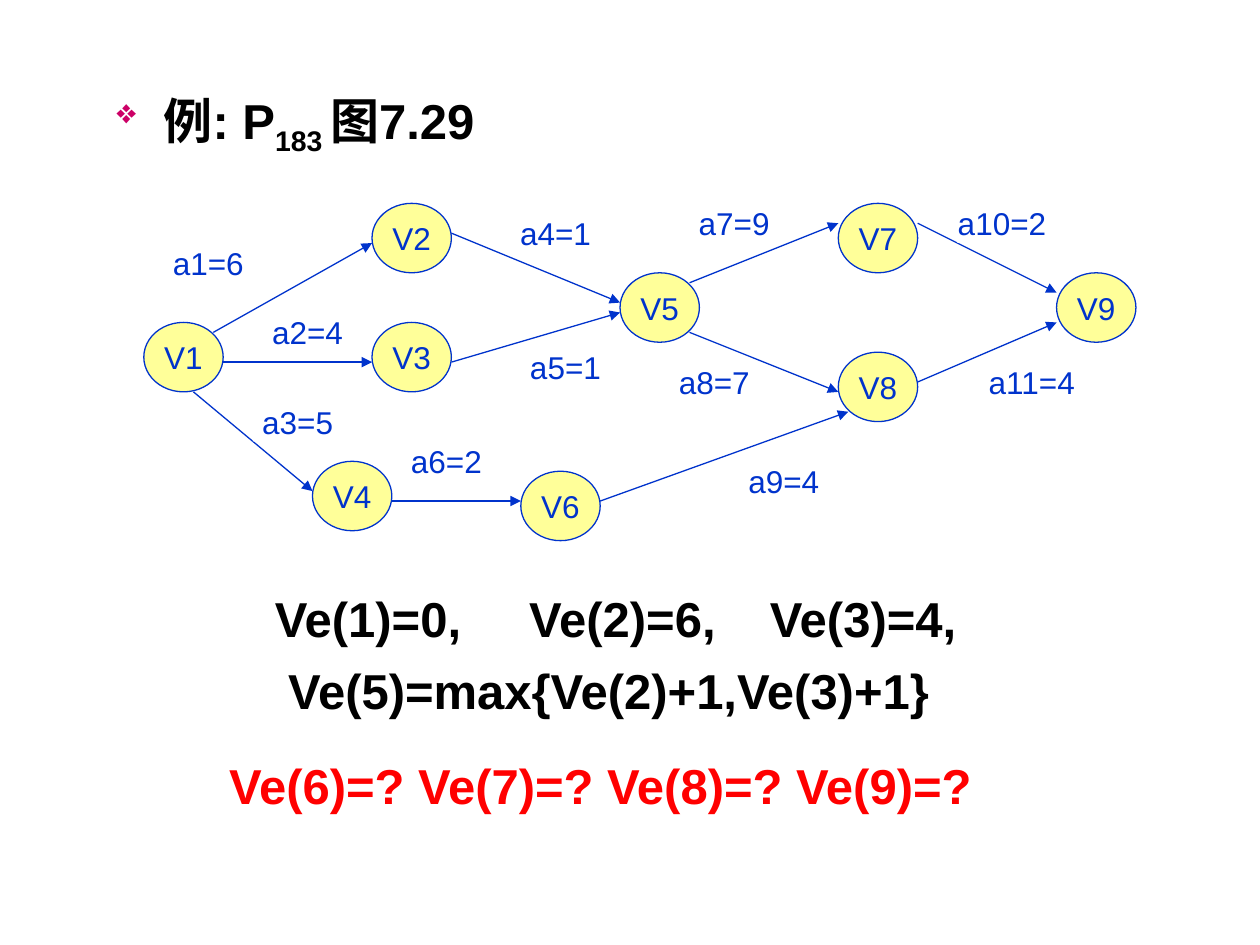
"""Builds the activity network slide with its earliest event times."""
from lxml.etree import SubElement
from pptx import Presentation
from pptx.dml.color import RGBColor
from pptx.enum.shapes import MSO_CONNECTOR as Link, MSO_SHAPE as Shape
from pptx.enum.text import MSO_ANCHOR as Anchor, PP_ALIGN as Align
from pptx.oxml.ns import qn
from pptx.util import Cm, Pt

BLACK = RGBColor(0, 0, 0)
WHITE = RGBColor(255, 255, 255)
RED = RGBColor(255, 0, 0)
BLUE = RGBColor(0, 51, 204)
YELLOW = RGBColor(255, 255, 153)
MAGENTA = RGBColor(204, 0, 102)

EVENTS = {
    "V1": (2.9, 6.5), "V2": (7.5, 4.1), "V3": (7.5, 6.5),
    "V4": (6.3, 9.3), "V5": (12.5, 5.5), "V6": (10.5, 9.5),
    "V7": (16.9, 4.1), "V8": (16.9, 7.1), "V9": (21.3, 5.5),
}
ACTIVITIES = [
    ("a1=6", (4.3, 6.7), (7.5, 4.9), (3.3, 4.9)),
    ("a2=4", (4.5, 7.3), (7.5, 7.3), (5.3, 6.3)),
    ("a3=5", (3.9, 7.9), (6.3, 9.9), (5.1, 8.1)),
    ("a4=1", (9.1, 4.7), (12.5, 6.1), (10.3, 4.3)),
    ("a5=1", (9.1, 7.3), (12.5, 6.3), (10.5, 7)),
    ("a6=2", (7.9, 10.1), (10.5, 10.1), (8.1, 8.9)),
    ("a7=9", (13.9, 5.7), (16.9, 4.5), (13.9, 4.1)),
    ("a8=7", (13.9, 6.7), (16.9, 7.9), (13.5, 7.3)),
    ("a9=4", (12.1, 10.1), (17.1, 8.3), (14.9, 9.3)),
    ("a10=2", (18.5, 4.5), (21.3, 5.9), (19.3, 4.1)),
    ("a11=4", (18.5, 7.7), (21.3, 6.5), (19.9, 7.3)),
]


def write(paragraph, text, size=28, color=BLACK, bold=True, face="Arial", baseline=None):
    run = paragraph.add_run()
    run.text = text
    run.font.size = Pt(size)
    run.font.bold = bold
    run.font.name = face
    run.font.color.rgb = color
    if baseline:
        run.font._element.set("baseline", str(baseline))


class NetworkSlide:
    """Holds the diagram style and the slide being drawn."""

    def __init__(self, slide, ink=BLUE, weight=0.75, label_size=18):
        self.slide = slide
        self.ink = ink
        self.weight = Pt(weight)
        self.label_size = label_size

    def caption(self, kind, text, place, size, fill):
        box = self.slide.shapes.add_shape(kind, *map(Cm, place + size))
        box.shadow.inherit = False
        box.fill.solid()
        box.fill.fore_color.rgb = fill
        box.line.fill.background()
        frame = box.text_frame
        frame.word_wrap = False
        frame.vertical_anchor = Anchor.MIDDLE
        frame.paragraphs[0].alignment = Align.CENTER
        write(frame.paragraphs[0], text, size=self.label_size, color=self.ink, bold=False)
        return box

    def event(self, name, place):
        circle = self.caption(Shape.OVAL, name, place, (1.6, 1.4), YELLOW)
        circle.line.color.rgb = self.ink
        circle.line.width = self.weight

    def duration(self, text, place):
        self.caption(Shape.RECTANGLE, text, place, (1.8, 0.8), WHITE)

    def arrow(self, start, end):
        edge = self.slide.shapes.add_connector(Link.STRAIGHT, *map(Cm, start + end))
        edge.line.color.rgb = self.ink
        edge.line.width = self.weight
        SubElement(edge.line._get_or_add_ln(), qn("a:tailEnd"), type="triangle")
        SubElement(edge._element.spPr, qn("a:effectLst"))

    def text_box(self, *place):
        frame = self.slide.shapes.add_textbox(*map(Cm, place)).text_frame
        frame.word_wrap = True
        return frame

    def bullet(self, paragraph):
        props = paragraph._p.get_or_add_pPr()
        props.set("marL", str(Cm(0.95)))
        props.set("indent", str(-Cm(0.95)))
        tint = SubElement(props, qn("a:buClr"))
        SubElement(tint, qn("a:srgbClr"), val=str(MAGENTA))
        SubElement(props, qn("a:buSzPct"), val="70000")
        SubElement(props, qn("a:buChar"), char="❖")

    def tab_stops(self, paragraph, stops):
        tabs = SubElement(paragraph._p.get_or_add_pPr(), qn("a:tabLst"))
        for stop in stops:
            SubElement(tabs, qn("a:tab"), pos=str(Cm(stop)), algn="l")


def main():
    deck = Presentation()
    deck.slide_width, deck.slide_height = Cm(25.4), Cm(19.05)
    network = NetworkSlide(deck.slides.add_slide(deck.slide_layouts[6]))

    example = network.text_box(2.1, 1.93, 21.6, 10.77).paragraphs[0]
    network.bullet(example)
    example.line_spacing = 0.7
    write(example, "例", face="Times New Roman")
    write(example, ": P")
    write(example, "183 ", baseline=-25000)
    write(example, "图", face="Times New Roman")
    write(example, "7.29")

    for name, place in EVENTS.items():
        network.event(name, place)
    for _, start, end, _ in ACTIVITIES:
        network.arrow(start, end)
    for text, _, _, place in ACTIVITIES:
        network.duration(text, place)

    earliest = network.text_box(3.1, 11.73, 18.6, 2.87)
    known = earliest.paragraphs[0]
    network.tab_stops(known, (2.19, 7.32, 12.17))
    write(known, "\tVe(1)=0,\tVe(2)=6,\tVe(3)=4,")
    maximum = earliest.add_paragraph()
    maximum.space_before = Pt(8)
    network.tab_stops(maximum, (2.46,))
    write(maximum, "\tVe(5)=max{Ve(2)+1,Ve(3)+1}")

    questions = network.text_box(4.37, 15.11, 17.6, 1.45).paragraphs[0]
    write(questions, "Ve(6)=? Ve(7)=? Ve(8)=? Ve(9)=?", color=RED)

    deck.save("out.pptx")


if __name__ == "__main__":
    main()
